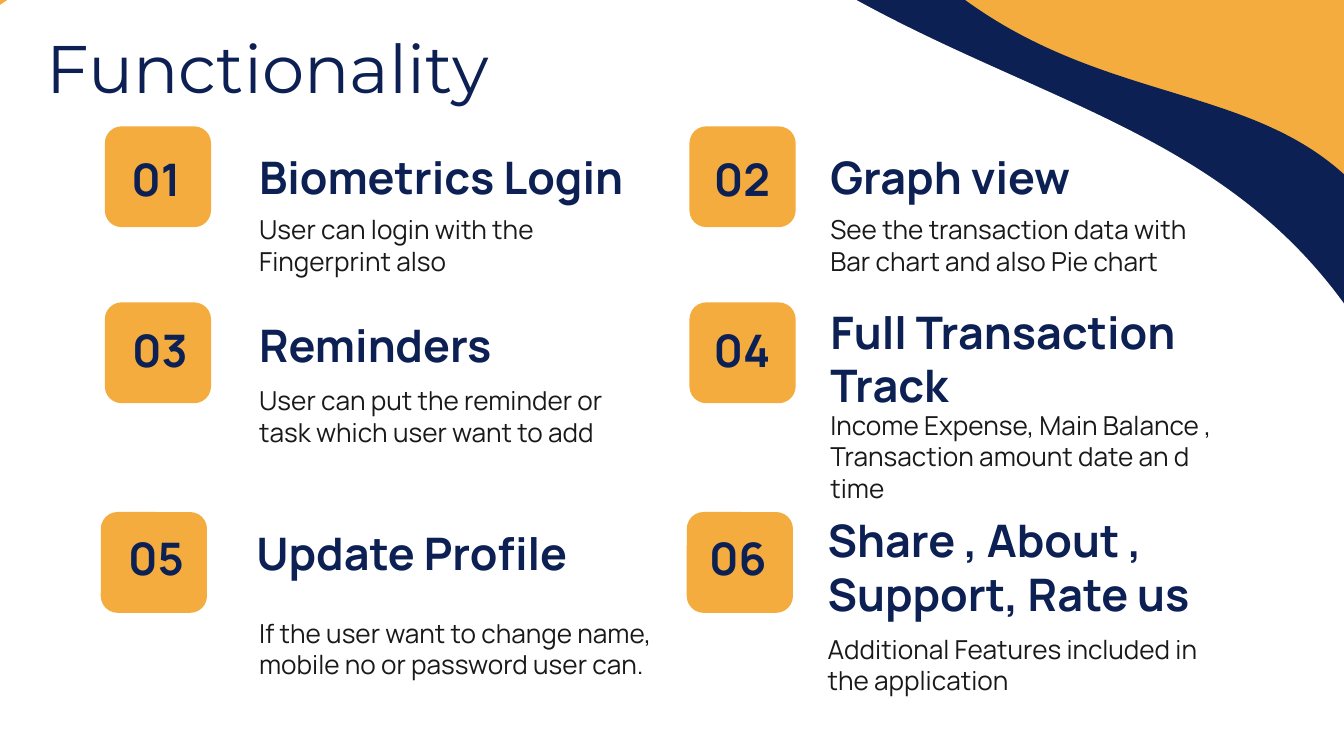
from pptx import Presentation
from pptx.dml.color import RGBColor
from pptx.enum.shapes import MSO_SHAPE as SHAPE
from pptx.enum.text import MSO_ANCHOR as ANCHOR, PP_ALIGN as ALIGN
from pptx.util import Inches, Pt

ORANGE = RGBColor(0xF3, 0xAC, 0x3D)
NAVY = RGBColor(0x0C, 0x20, 0x54)
WHITE = RGBColor(0xFF, 0xFF, 0xFF)
INK = RGBColor(0x19, 0x19, 0x19)

prs = Presentation()
prs.slide_width = Inches(10)
prs.slide_height = Inches(10 * 9 / 16)
slide = prs.slides.add_slide(prs.slide_layouts[6])
slide.background.fill.solid()
slide.background.fill.fore_color.rgb = ORANGE


def add_filled(kind, left, top, width, height, color):
    shape = slide.shapes.add_shape(
        kind, Inches(left), Inches(top), Inches(width), Inches(height))
    shape.shadow.inherit = False
    shape.fill.solid()
    shape.fill.fore_color.rgb = color
    shape.line.fill.background()
    return shape


def add_text(text, left, top, width, height, size, color=NAVY,
             face="Manrope", bold=False, align=ALIGN.LEFT):
    frame = slide.shapes.add_textbox(
        Inches(left), Inches(top), Inches(width), Inches(height)).text_frame
    frame.word_wrap = True
    frame.vertical_anchor = ANCHOR.MIDDLE
    frame.margin_left = frame.margin_right = Inches(0.1)
    frame.margin_top = frame.margin_bottom = Inches(0.1)
    frame.text = text
    for paragraph in frame.paragraphs:
        paragraph.alignment = align
        paragraph.font.size = Pt(size)
        paragraph.font.name = face
        paragraph.font.bold = bold
        paragraph.font.color.rgb = color


navy_wave = add_filled(SHAPE.FLOWCHART_DOCUMENT, 3.16, -1.32, 5.67, 8.86, NAVY)
navy_wave.rotation = 232.8
white_wave = add_filled(SHAPE.FLOWCHART_DOCUMENT, -2.15, -2.88, 10.31, 14.22, WHITE)
white_wave.rotation = 236.6

add_text("Functionality", 0.25, 0.23, 8.43, 0.53, 36, face="Montserrat")

features = [
    ((0.78, 0.94), (0.75, 1.04), (1.83, 0.9), "Biometrics Login",
     (1.83, 1.56), "User can login with the Fingerprint also"),
    ((5.13, 0.94), (5.11, 1.04), (6.08, 0.9), "Graph view",
     (6.08, 1.56), "See the transaction data with Bar chart and also Pie chart"),
    ((0.78, 2.25), (0.78, 2.31), (1.83, 2.15), "Reminders",
     (1.83, 2.83), "User can put the reminder or task which user want to add"),
    ((5.13, 2.25), (5.11, 2.31), (6.08, 2.25), "Full Transaction\vTrack",
     (6.08, 3.13), "Income Expense, Main Balance , Transaction amount date an d time"),
    ((0.75, 3.81), (0.75, 3.86), (1.81, 3.7), "Update Profile",
     (1.83, 4.56), "If the user want to change name, mobile no or password user can."),
    ((5.11, 3.81), (5.08, 3.86), (6.06, 3.8), "Share , About ,\nSupport, Rate us",
     (6.06, 4.68), "Additional Features included in the application"),
]

for number, (badge, label, heading, name, body, detail) in enumerate(features, 1):
    add_filled(SHAPE.ROUNDED_RECTANGLE, *badge, 0.79, 0.75, ORANGE)
    add_text(f"{number:02}", *label, 0.82, 0.58, 24, bold=True, align=ALIGN.CENTER)
    add_text(name, *heading, 3.14, 0.83, 24, bold=True)
    add_text(detail, *body, 3.14, 0.53, 14, INK)

prs.save("out.pptx")
